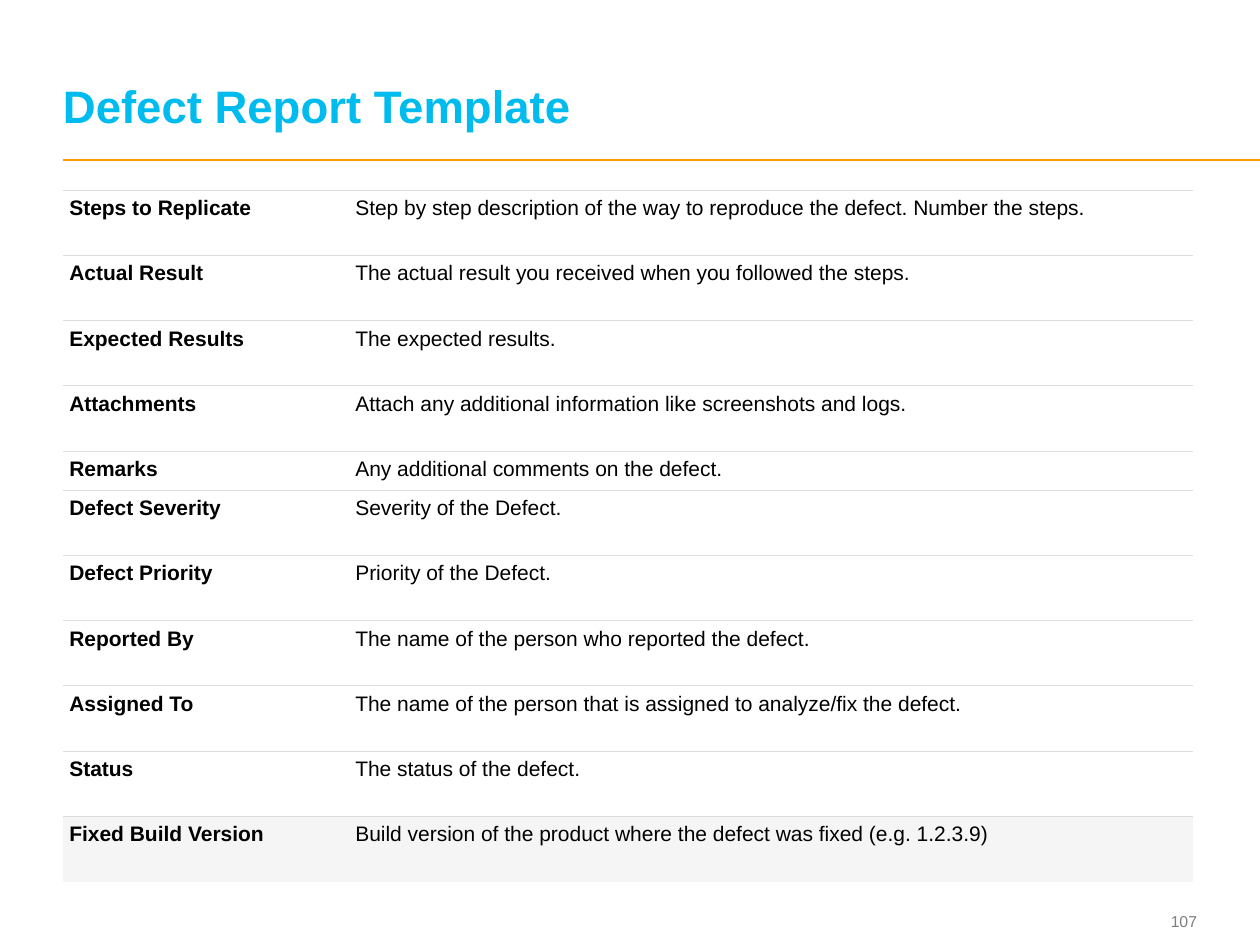
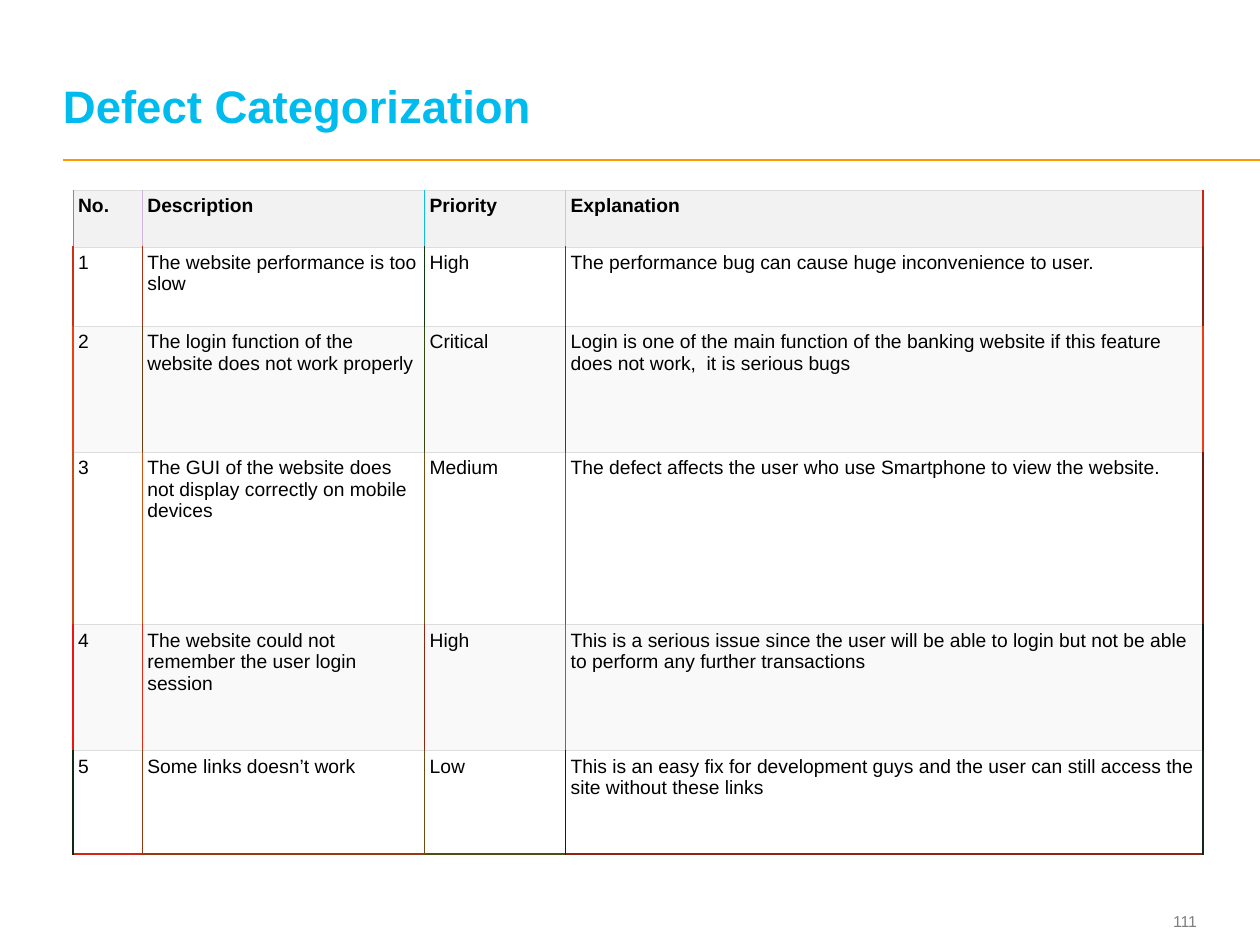
from dataclasses import dataclass

import pptx
import pptx.dml.color
import pptx.enum.shapes
import pptx.enum.text
import pptx.oxml
import pptx.oxml.ns
import pptx.util
from pptx.util import Inches


@dataclass(frozen=True)
class Theme:
    font: str = "Arial"
    title: str = "00BBEE"
    rule: str = "FF9900"
    number: str = "7F7F7F"
    ink: str = "000000"
    grid: str = "DDDDDD"
    white: str = "FFFFFF"
    band: str = "F9F9F9"
    header: str = "F2F2F2"
    last_row: str = "F5F5F5"
    title_size: int = 26
    template_size: int = 12
    defect_size: int = 11
    number_size: int = 9
    thin: float = 0.6
    thick: float = 1


THEME = Theme()
ALIGN = pptx.enum.text.PP_ALIGN
ANCHOR = pptx.enum.text.MSO_ANCHOR
SIDES = ("L", "R", "T", "B")

TEMPLATE_FIELDS = [
    ("Steps to Replicate", "Step by step description of the way to reproduce the defect. Number the steps."),
    ("Actual Result", "The actual result you received when you followed the steps."),
    ("Expected Results", "The expected results."),
    ("Attachments", "Attach any additional information like screenshots and logs."),
    ("Remarks", "Any additional comments on the defect."),
    ("Defect Severity", "Severity of the Defect."),
    ("Defect Priority", "Priority of the Defect."),
    ("Reported By", "The name of the person who reported the defect."),
    ("Assigned To", "The name of the person that is assigned to analyze/fix the defect."),
    ("Status", "The status of the defect."),
    ("Fixed Build Version", "Build version of the product where the defect was fixed (e.g. 1.2.3.9)"),
]

DEFECTS = [
    ("No.", "Description", "Priority", "Explanation"),
    ("1", "The website performance is too slow", "High",
     "The performance bug can cause huge inconvenience to user."),
    ("2", "The login function of the website does not work properly", "Critical",
     "Login is one of the main function of the banking website if this feature does not work,  it is serious bugs"),
    ("3", "The GUI of the website does not display correctly on mobile devices", "Medium",
     "The defect affects the user who use Smartphone to view the website."),
    ("4", "The website could not remember the user login session", "High",
     "This is a serious issue since the user will be able to login but not be able to perform any further transactions"),
    ("5", "Some links doesn’t work", "Low",
     "This is an easy fix for development guys and the user can still access the site without these links"),
]

# Vertical line colours of each defect row, from the left edge to the right edge
DEFECT_VERTICALS = [
    ("10B9DF", "D0B6DF", "10BEDF", "D0C4DF", "D02412"),
    ("D02F12", "B02B12", "103612", "703612", "902212"),
    ("F03E12", "703E12", "304812", "304912", "F03E12"),
    ("D04B12", "D04F12", "705112", "F01812", "701912"),
    ("F01312", "F02412", "902512", "B05B12", "101812"),
    ("102912", "903912", "704A12", "102212", "102912"),
]
DEFECT_BOTTOM = ("D02512", "903B12", "504C12", "902312")


def rgb(colour):
    return pptx.dml.color.RGBColor.from_string(colour)


def set_borders(cell, borders):
    """Draw the sides given as {side: (colour, points)} and clear the others."""
    properties = cell._tc.get_or_add_tcPr()
    namespace = pptx.oxml.ns.nsdecls("a")
    for side in SIDES:
        if side in borders:
            colour, points = borders[side]
            xml = (f'<a:ln{side} {namespace} w="{pptx.util.Pt(points)}"><a:solidFill>'
                   f'<a:srgbClr val="{colour}"/></a:solidFill></a:ln{side}>')
        else:
            xml = f'<a:ln{side} {namespace} w="0"><a:noFill/></a:ln{side}>'
        properties.append(pptx.oxml.parse_xml(xml))


class SlideWriter:
    def __init__(self, deck, theme):
        self.deck = deck
        self.theme = theme
        self.slide = None

    def new_slide(self, title, number):
        theme = self.theme
        self.slide = self.deck.slides.add_slide(self.deck.slide_layouts[6])
        self.rule(0.5, 1.27, 10, 1.27)
        self.text(number, (8.91, 7.18, 0.59, 0.27), theme.number_size, theme.number,
                  align=ALIGN.RIGHT)
        self.text(title, (0.5, 0.19, 8.97, 0.86), theme.title_size, theme.title, bold=True,
                  anchor=ANCHOR.BOTTOM, line_spacing=pptx.util.Pt(theme.title_size))

    def style(self, para, size, colour, bold=False):
        values = {"name": self.theme.font, "size": pptx.util.Pt(size), "bold": bold}
        for name, value in values.items():
            setattr(para.font, name, value)
        para.font.color.rgb = rgb(colour)

    def set_margins(self, holder, margin):
        for side in ("left", "top", "right", "bottom"):
            setattr(holder, f"margin_{side}", Inches(margin))

    def rule(self, x1, y1, x2, y2):
        line = self.slide.shapes.add_connector(
            pptx.enum.shapes.MSO_CONNECTOR.STRAIGHT, *map(Inches, (x1, y1, x2, y2)))
        line.line.color.rgb = rgb(self.theme.rule)
        line.line.width = pptx.util.Pt(self.theme.thick)
        line._element.spPr.append(pptx.oxml.parse_xml(
            f'<a:effectLst {pptx.oxml.ns.nsdecls("a")}/>'))

    def text(self, words, place, size, colour, bold=False, anchor=ANCHOR.MIDDLE,
             align=ALIGN.LEFT, line_spacing=None):
        frame = self.slide.shapes.add_textbox(*map(Inches, place)).text_frame
        frame.word_wrap = True
        frame.vertical_anchor = anchor
        self.set_margins(frame, 0)
        para = frame.paragraphs[0]
        para.text = words
        para.alignment = align
        para.line_spacing = line_spacing
        self.style(para, size, colour, bold)

    def table(self, rows, place, widths, heights, size, margin, look):
        """look(row, column) gives the fill, the bold flag and the borders of a cell."""
        table = self.slide.shapes.add_table(
            len(rows), len(widths), *map(Inches, place)).table
        table.first_row = table.horz_banding = False
        for column, width in zip(table.columns, widths):
            column.width = Inches(width)
        for row, height in zip(table.rows, heights):
            row.height = Inches(height)
        for r, row in enumerate(rows):
            for c, words in enumerate(row):
                cell = table.cell(r, c)
                fill, bold, borders = look(r, c)
                set_borders(cell, borders)
                cell.fill.solid()
                cell.fill.fore_color.rgb = rgb(fill)
                self.set_margins(cell, margin)
                para = cell.text_frame.paragraphs[0]
                para.text = words
                self.style(para, size, self.theme.ink, bold)


def template_look(row, column):
    grid = (THEME.grid, THEME.thin)
    if row == len(TEMPLATE_FIELDS) - 1:
        return THEME.last_row, column == 0, {"T": grid}
    return THEME.white, column == 0, {"T": grid, "B": grid}


def defect_look(row, column):
    grid = (THEME.grid, THEME.thin)
    header = row == 0

    def vertical(index):
        thin = header and index < len(DEFECT_BOTTOM)
        return DEFECT_VERTICALS[row][index], THEME.thin if thin else THEME.thick

    last = row == len(DEFECTS) - 1
    borders = {"L": vertical(column), "R": vertical(column + 1), "T": grid,
               "B": (DEFECT_BOTTOM[column], THEME.thick) if last else grid}
    fill = THEME.header if header else (THEME.white if row % 2 else THEME.band)
    return fill, header, borders


def main():
    deck = pptx.Presentation()
    deck.slide_width, deck.slide_height = Inches(10), Inches(7.5)
    writer = SlideWriter(deck, THEME)

    writer.new_slide("Defect Report Template", "107")
    table_height, remarks_height = 5.49, 0.31
    field_height = (table_height - remarks_height) / (len(TEMPLATE_FIELDS) - 1)
    heights = [remarks_height if name == "Remarks" else field_height
               for name, _ in TEMPLATE_FIELDS]
    writer.table(TEMPLATE_FIELDS, (0.5, 1.51, 8.97, table_height), (2.27, 6.7), heights,
                 THEME.template_size, 0.05, template_look)

    writer.new_slide("Defect Categorization", "111")
    writer.table(DEFECTS, (0.58, 1.51, 8.97, 5.28), (0.55, 2.24, 1.12, 5.06),
                 (0.45, 0.63, 1, 1.37, 1, 0.82), THEME.defect_size, 0.04, defect_look)

    deck.save("out.pptx")


if __name__ == "__main__":
    main()
